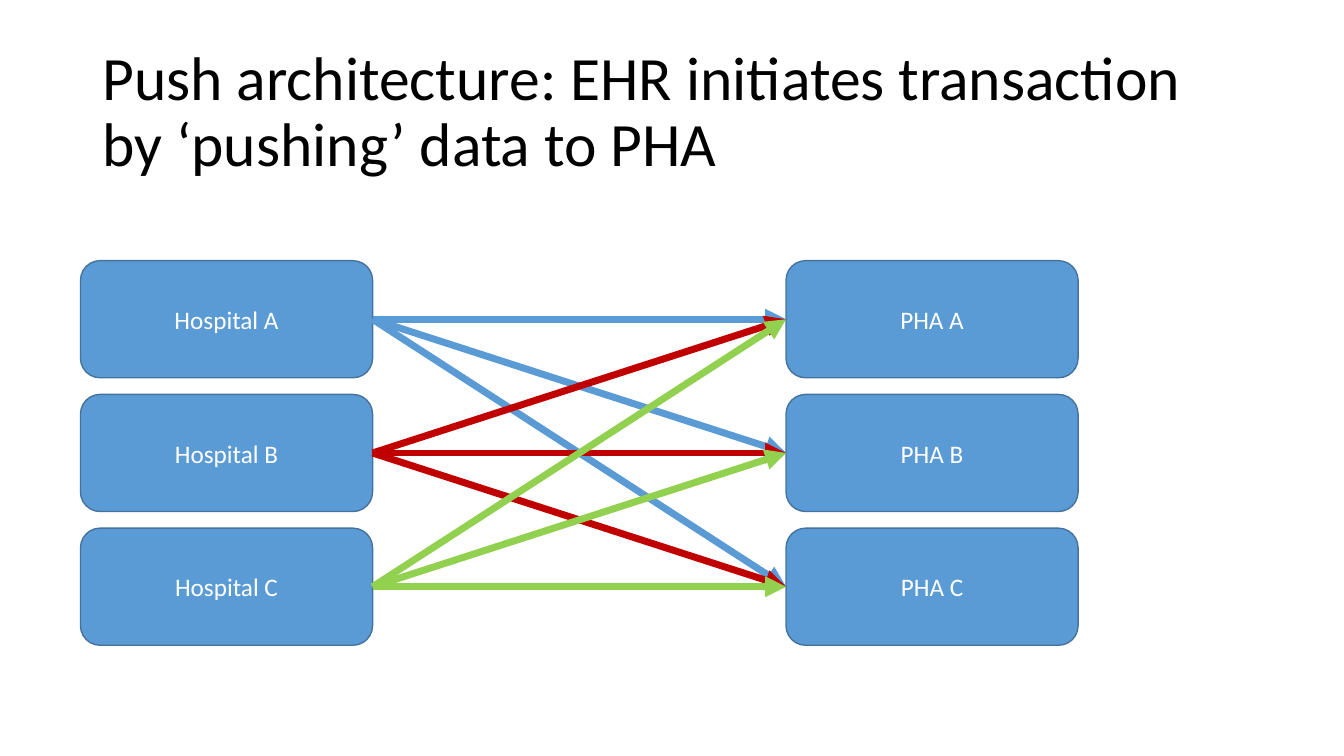
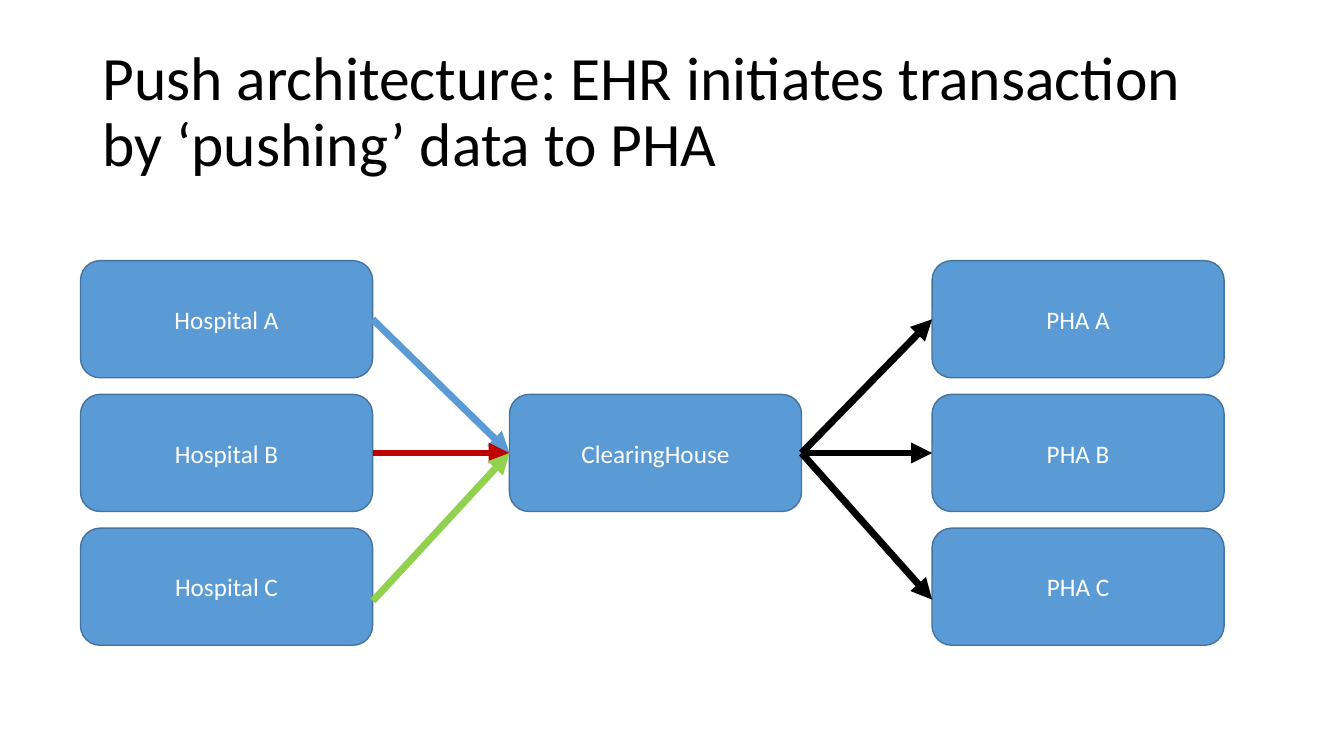
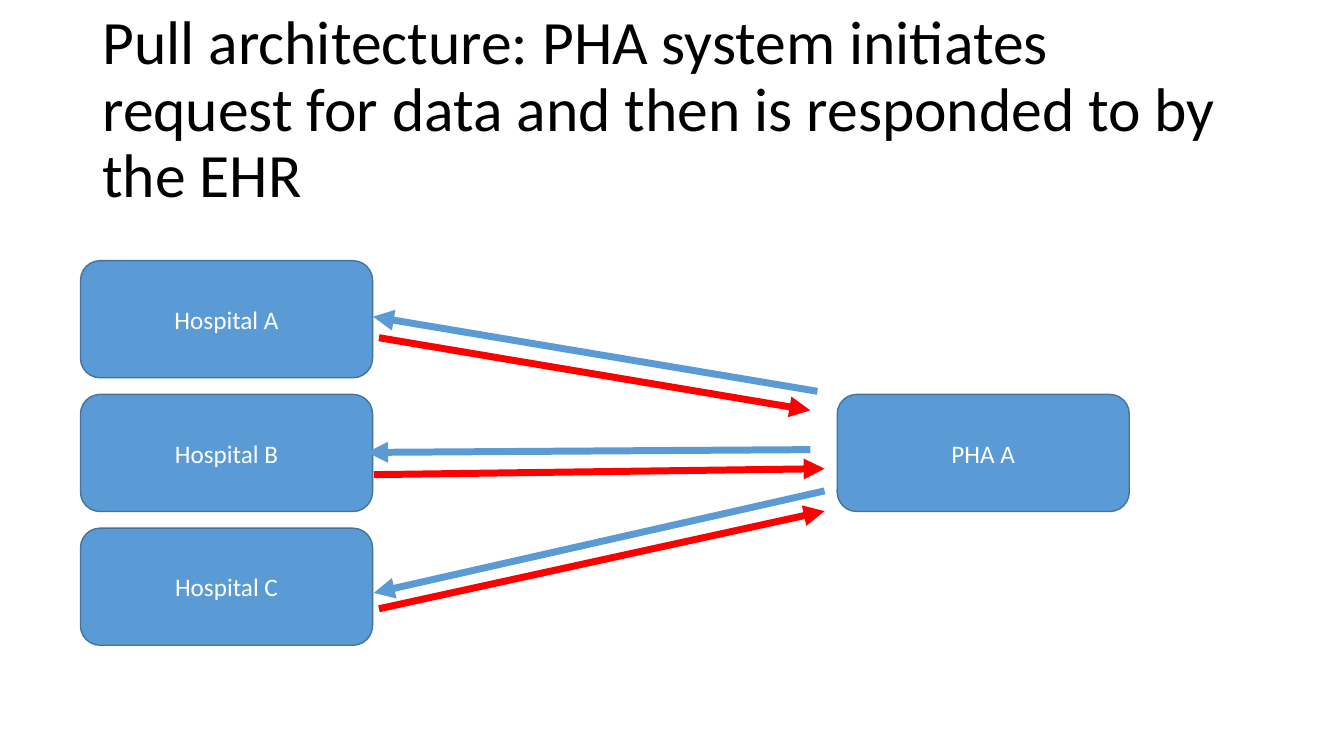
from typing import NamedTuple

from pptx import Presentation
from pptx.dml.color import RGBColor
from pptx.enum.shapes import MSO_CONNECTOR, MSO_SHAPE
from pptx.enum.text import MSO_ANCHOR, PP_ALIGN
from pptx.oxml.ns import qn
from pptx.shapes.autoshape import Shape
from pptx.shapes.connector import Connector
from pptx.slide import Slide
from pptx.util import Cm, Pt
from lxml import etree

ROUNDED = MSO_SHAPE.ROUNDED_RECTANGLE
STRAIGHT = MSO_CONNECTOR.STRAIGHT
MIDDLE = MSO_ANCHOR.MIDDLE
CENTER = PP_ALIGN.CENTER

COLORS = {
    "black": "000000",
    "white": "FFFFFF",
    "blue": "5B9BD5",
    "outline": "43739E",
    "crimson": "C00000",
    "green": "92D050",
    "red": "FF0000",
}
FONT = "Calibri"
BLANK_LAYOUT = 6

# Lengths in centimetres
SLIDE_W, SLIDE_H = 33.87, 19.05
BOX_W, BOX_H = 7.36, 2.95
FIRST_ROW, ROW_PITCH = 6.57, 3.37
HOSPITAL_X = 2.03
LEFT_SITE, RIGHT_SITE = 1, 3

HOSPITALS = ["Hospital A", "Hospital B", "Hospital C"]
AGENCIES = ["PHA A", "PHA B", "PHA C"]
HOSPITAL_COLORS = ["blue", "crimson", "green"]
PUSH_TITLE = "Push architecture: EHR initiates transaction by ‘pushing’ data to PHA"
PULL_TITLE = (
    "Pull architecture: PHA system initiates request for data "
    "and then is responded to by the EHR"
)


class Point(NamedTuple):
    x: float
    y: float


class Exchange(NamedTuple):
    """One message between a hospital and the agency."""
    start: Point
    end: Point
    color: str


EXCHANGES = [
    Exchange(Point(20.6, 9.86), Point(9.4, 7.98), "blue"),
    Exchange(Point(20.42, 11.33), Point(9.25, 11.4), "blue"),
    Exchange(Point(20.78, 12.37), Point(9.42, 14.94), "blue"),
    Exchange(Point(9.55, 8.51), Point(20.42, 10.34), "red"),
    Exchange(Point(9.42, 11.96), Point(20.78, 11.81), "red"),
    Exchange(Point(9.55, 15.34), Point(20.78, 12.88), "red"),
]


def rgb(color: str) -> RGBColor:
    return RGBColor.from_string(COLORS[color])


def write(shape: Shape, text: str, size: int, color: str):
    """Fill a shape with one vertically centred paragraph and return it."""
    frame = shape.text_frame
    frame.word_wrap = True
    frame.vertical_anchor = MIDDLE
    paragraph = frame.paragraphs[0]
    paragraph.text = text
    paragraph.font.name = FONT
    paragraph.font.size = Pt(size)
    paragraph.font.color.rgb = rgb(color)
    return paragraph


def add_titled_slide(prs, title: str, title_top: float = 1.02) -> Slide:
    slide = prs.slides.add_slide(prs.slide_layouts[BLANK_LAYOUT])
    heading = slide.shapes.add_textbox(Cm(2.33), Cm(title_top), Cm(29.21), Cm(3.68))
    write(heading, title, 44, "black").line_spacing = 0.9
    return slide


def add_box(slide: Slide, label: str, x: float, row: int) -> Shape:
    top = FIRST_ROW + row * ROW_PITCH
    box = slide.shapes.add_shape(ROUNDED, Cm(x), Cm(top), Cm(BOX_W), Cm(BOX_H))
    box.shadow.inherit = False
    box.fill.solid()
    box.fill.fore_color.rgb = rgb("blue")
    box.line.color.rgb = rgb("outline")
    box.line.width = Pt(1)
    write(box, label, 18, "white").alignment = CENTER
    return box


def add_column(slide: Slide, labels: list[str], x: float) -> list[Shape]:
    return [add_box(slide, label, x, row) for row, label in enumerate(labels)]


def add_arrow(slide: Slide, start: Point, end: Point, color: str) -> Connector:
    arrow = slide.shapes.add_connector(
        STRAIGHT, Cm(start.x), Cm(start.y), Cm(end.x), Cm(end.y)
    )
    arrow.line.color.rgb = rgb(color)
    arrow.line.width = Pt(5)
    properties = arrow.element.spPr
    etree.SubElement(properties.find(qn("a:ln")), qn("a:tailEnd"), type="triangle")
    etree.SubElement(properties, qn("a:effectLst"))
    return arrow


def link(slide: Slide, sender: Shape, receiver: Shape, color: str) -> None:
    """Glue an arrow from the sender's right side to the receiver's left side."""
    arrow = add_arrow(slide, Point(0, 0), Point(1, 1), color)
    arrow.begin_connect(sender, RIGHT_SITE)
    arrow.end_connect(receiver, LEFT_SITE)


def build_direct_push(prs) -> None:
    slide = add_titled_slide(prs, PUSH_TITLE)
    hospitals = add_column(slide, HOSPITALS, HOSPITAL_X)
    agencies = add_column(slide, AGENCIES, 19.81)
    for hospital, color in zip(hospitals, HOSPITAL_COLORS):
        for agency in reversed(agencies):
            link(slide, hospital, agency, color)


def build_clearinghouse_push(prs) -> None:
    slide = add_titled_slide(prs, PUSH_TITLE)
    hospitals = add_column(slide, HOSPITALS, HOSPITAL_X)
    agencies = add_column(slide, AGENCIES, 23.49)
    clearinghouse_x = 12.84
    clearinghouse = add_box(slide, "ClearingHouse", clearinghouse_x, 1)
    middle = FIRST_ROW + ROW_PITCH + BOX_H / 2
    entry = Point(clearinghouse_x, middle)
    departure = Point(clearinghouse_x + BOX_W, middle)

    for hospital, color in zip(hospitals[:2], HOSPITAL_COLORS):
        link(slide, hospital, clearinghouse, color)
    for agency in agencies[:2]:
        link(slide, clearinghouse, agency, "black")
    # The bottom row is joined slightly below the middle of its boxes
    add_arrow(slide, Point(9.4, 15.14), entry, "green")
    add_arrow(slide, departure, Point(23.49, 15.11), "black")


def build_pull(prs) -> None:
    slide = add_titled_slide(prs, PULL_TITLE, 0.97)
    add_column(slide, HOSPITALS, HOSPITAL_X)
    add_box(slide, AGENCIES[0], 21.1, 1)
    for exchange in EXCHANGES:
        add_arrow(slide, exchange.start, exchange.end, exchange.color)


def main() -> None:
    prs = Presentation()
    prs.slide_width, prs.slide_height = Cm(SLIDE_W), Cm(SLIDE_H)
    build_direct_push(prs)
    build_clearinghouse_push(prs)
    build_pull(prs)
    prs.save("out.pptx")


if __name__ == "__main__":
    main()
